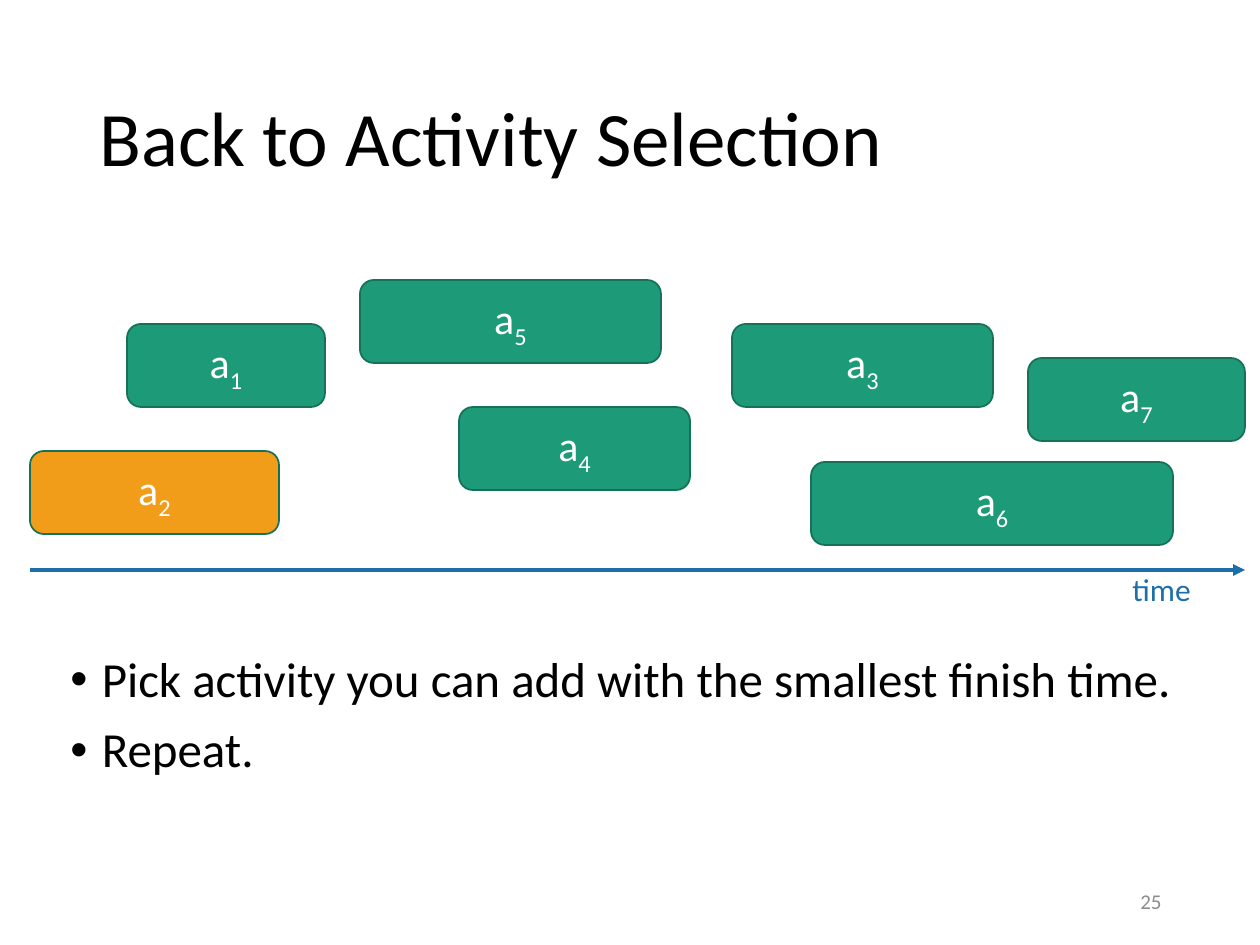
"""Build the activity selection slide with its timeline and steps."""
from dataclasses import dataclass

from lxml import etree
from pptx import Presentation, util as u
from pptx.dml.color import RGBColor
from pptx.enum import shapes, text
from pptx.oxml.ns import qn

PX = 914400 / 126
ACTIVITY_H = 83
ACTIVITIES = [
    ("3", 732, 324, 261),
    ("1", 127, 324, 198),
    ("4", 459, 407, 231),
    ("2", 30, 451, 249),
    ("5", 360, 280, 301),
    ("7", 1028, 358, 217),
    ("6", 811, 462, 362),
]
PICKED = {"2"}
STEPS = ["Pick activity you can add with the smallest finish time.", "Repeat."]


@dataclass(frozen=True)
class Theme:
    font: str = "Calibri"
    ink: str = "000000"
    white: str = "FFFFFF"
    activity: str = "1D9A78"
    picked: str = "F19D19"
    outline: str = "157259"
    axis: str = "1D6FA9"
    muted: str = "8C8C8C"
    title_pt: int = 44
    body_pt: int = 28
    activity_pt: int = 24
    axis_pt: int = 18
    number_pt: int = 12


def px(*values):
    return [round(v * PX) for v in values]


def rgb(value):
    return RGBColor.from_string(value)


class Painter:
    def __init__(self, s, theme):
        self.s = s
        self.theme = theme

    def font(self, p, size, color):
        for r in p.runs:
            r.font.name = self.theme.font
            r.font.size = u.Pt(size)
            r.font.color.rgb = rgb(color)

    def text(self, box, lines, size, color, anchor=text.MSO_ANCHOR.TOP,
             align=text.PP_ALIGN.LEFT, spacing=1.0):
        tf = self.s.shapes.add_textbox(*px(*box)).text_frame
        tf.word_wrap = True
        tf.vertical_anchor = anchor
        tf.text = "\n".join(lines)
        for p in tf.paragraphs:
            p.alignment = align
            p.line_spacing = spacing
            self.font(p, size, color)
        return tf

    def bullets(self, box, lines, size, color):
        tf = self.text(box, lines, size, color, spacing=0.9)
        for i, p in enumerate(tf.paragraphs):
            p.space_before = u.Pt(10 if i else 0)
            pPr = p._p.get_or_add_pPr()
            pPr.set("marL", str(u.Inches(0.25)))
            pPr.set("indent", str(-u.Inches(0.25)))
            etree.SubElement(pPr, qn("a:buFont"), typeface="Arial")
            etree.SubElement(pPr, qn("a:buChar"), char="•")

    def activity(self, index, x, y, w, fill):
        sp = self.s.shapes.add_shape(
            shapes.MSO_SHAPE.ROUNDED_RECTANGLE, *px(x, y, w, ACTIVITY_H))
        sp.shadow.inherit = False
        sp.fill.solid()
        sp.fill.fore_color.rgb = rgb(fill)
        sp.line.color.rgb = rgb(self.theme.outline)
        sp.line.width = u.Pt(1)
        tf = sp.text_frame
        tf.vertical_anchor = text.MSO_ANCHOR.MIDDLE
        p = tf.paragraphs[0]
        p.alignment = text.PP_ALIGN.CENTER
        for part in ("a", index):
            p.add_run().text = part
        self.font(p, self.theme.activity_pt, self.theme.white)
        p.runs[1].font._element.set("baseline", "-25000")

    def arrow(self, x1, y1, x2, y2, color):
        line = self.s.shapes.add_connector(
            shapes.MSO_CONNECTOR.STRAIGHT, *px(x1, y1, x2, y2))
        line.line.color.rgb = rgb(color)
        line.line.width = u.Pt(2.25)
        etree.SubElement(line.line._get_or_add_ln(), qn("a:tailEnd"), type="triangle")
        etree.SubElement(line._element.spPr, qn("a:effectLst"))


def main():
    prs = Presentation()
    prs.slide_width, prs.slide_height = u.Inches(10), u.Inches(7.5)
    theme = Theme()
    painter = Painter(prs.slides.add_slide(prs.slide_layouts[6]), theme)
    middle = text.MSO_ANCHOR.MIDDLE

    painter.text((87, 50, 1086, 183), ["Back to Activity Selection"],
                 theme.title_pt, theme.ink, anchor=middle, spacing=0.9)
    for index, x, y, w in ACTIVITIES:
        fill = theme.picked if index in PICKED else theme.activity
        painter.activity(index, x, y, w, fill)
    painter.arrow(30, 570, 1245, 570, theme.axis)
    painter.text((1120, 564, 140, 50), ["time"], theme.axis_pt, theme.axis)
    painter.bullets((58, 649, 1159, 226), STEPS, theme.body_pt, theme.ink)
    painter.text((890, 876, 284, 50), ["25"], theme.number_pt, theme.muted,
                 anchor=middle, align=text.PP_ALIGN.RIGHT)
    prs.save("out.pptx")


if __name__ == "__main__":
    main()
